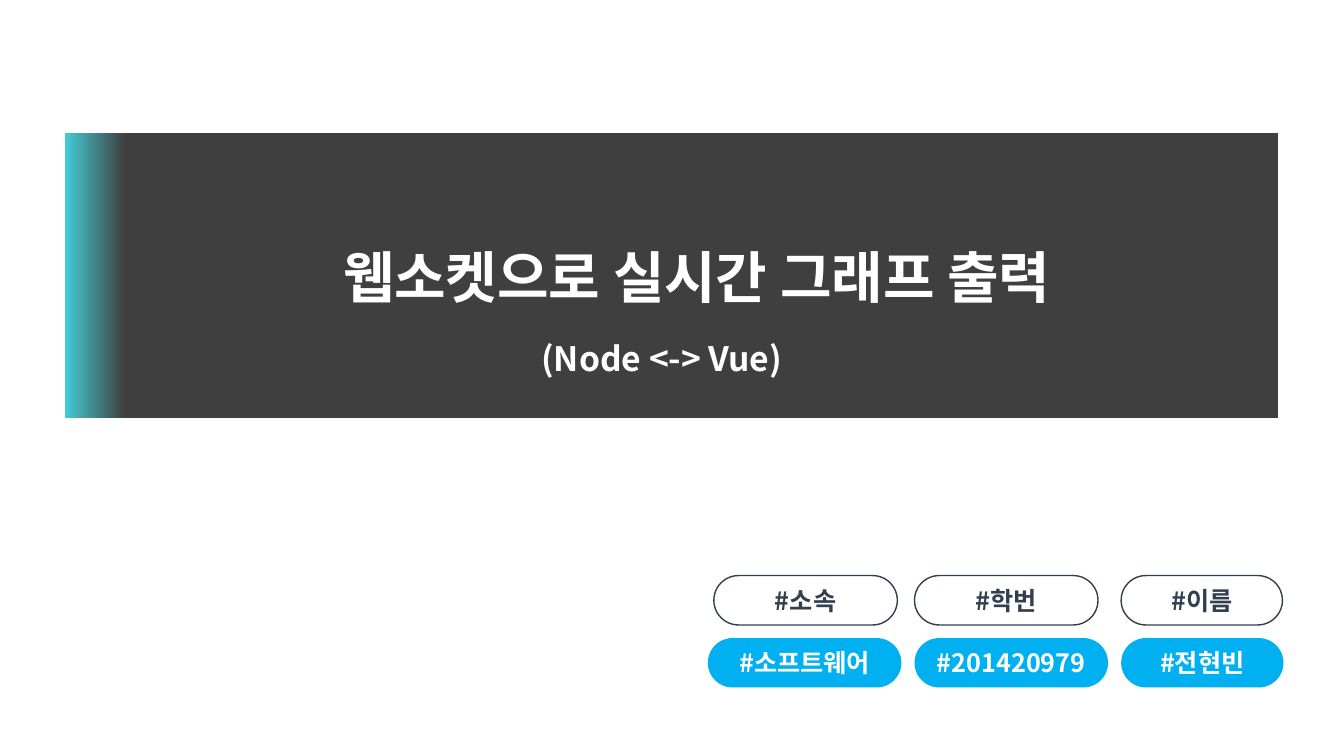
from copy import deepcopy

from pptx import Presentation
from pptx.dml.color import RGBColor
from pptx.enum.shapes import MSO_SHAPE as Shape
from pptx.enum.text import MSO_ANCHOR as Anchor, MSO_AUTO_SIZE as AutoSize, PP_ALIGN as Align
from pptx.oxml.ns import qn
from pptx.util import Inches, Pt

COLORS = {
    "white": "FFFFFF",
    "slate": "323F4F",
    "sky": "00B0F0",
    "charcoal": "3F3F3F",
    "teal": "43CDD7",
}
KOREAN_FONT = "Noto Sans CJK KR"
TITLE_FORMAT = {"name": "Arial", "size": Pt(40), "bold": True}
SUBTITLE_FORMAT = {"name": KOREAN_FONT, "size": Pt(24), "bold": True}
TAG_FORMAT = {"name": KOREAN_FONT, "size": Pt(18), "bold": True}

TAG_HEIGHT = 0.49
LABEL_TOP, VALUE_TOP = 5.71, 6.33
TAGS = [
    ("#소속", 7.08, 1.82, "#소프트웨어", 7.02, 1.92),
    ("#학번", 9.07, 1.82, "#201420979", 9.07, 1.92),
    ("#이름", 11.12, 1.6, "#전현빈", 11.12, 1.61),
]


def rgb(color):
    """Return the named colour."""
    return RGBColor.from_string(COLORS[color])


def write(frame, text, formats, color, align):
    """Write one formatted line into a text frame and return its paragraph."""
    paragraph = frame.paragraphs[0]
    paragraph.alignment = align
    run = paragraph.add_run()
    run.text = text
    for attribute, value in formats.items():
        setattr(run.font, attribute, value)
    run.font.color.rgb = rgb(color)
    east_asian = run.font._element.makeelement(qn("a:ea"), {"typeface": KOREAN_FONT})
    run.font._element.append(east_asian)
    return paragraph


def add_rounded(slide, left, top, width, height, rounding):
    """Add a shadowless rounded rectangle without an outline."""
    rounded = slide.shapes.add_shape(
        Shape.ROUNDED_RECTANGLE, Inches(left), Inches(top), Inches(width), Inches(height))
    rounded.adjustments[0] = rounding
    rounded.shadow.inherit = False
    rounded.line.fill.background()
    rounded.text_frame.vertical_anchor = Anchor.MIDDLE
    return rounded


def add_tag(slide, text, left, top, width, fill, ink, outline=None):
    """Add a pill-shaped tag with centred text."""
    tag = add_rounded(slide, left, top, width, TAG_HEIGHT, 0.5)
    tag.fill.solid()
    tag.fill.fore_color.rgb = rgb(fill)
    if outline:
        tag.line.color.rgb = rgb(outline)
        tag.line.width = Pt(1)
    write(tag.text_frame, text, TAG_FORMAT, ink, Align.CENTER)


def add_banner(slide, title):
    """Add the dark title banner with its glowing left edge."""
    banner = add_rounded(slide, 0.64, 1.32, 12.04, 2.83, 0)
    banner.fill.gradient()
    banner.fill.gradient_angle = 180
    first_stop = banner._element.spPr.find(".//" + qn("a:gs"))
    first_stop.addnext(deepcopy(first_stop))
    glow = [(0, "charcoal"), (0.95, "charcoal"), (1, "teal")]
    for stop, (position, color) in zip(banner.fill.gradient_stops, glow):
        stop.position = position
        stop.color.rgb = rgb(color)
    write(banner.text_frame, title, TITLE_FORMAT, "white", Align.CENTER).level = 1


def add_subtitle(slide, text):
    """Add the line below the title."""
    subtitle = slide.shapes.add_textbox(Inches(5.27), Inches(3.3), Inches(4.43), Inches(0.5))
    subtitle.text_frame.word_wrap = True
    subtitle.text_frame.auto_size = AutoSize.SHAPE_TO_FIT_TEXT
    write(subtitle.text_frame, text, SUBTITLE_FORMAT, "white", Align.LEFT)


def main():
    """Build the title slide."""
    deck = Presentation()
    deck.slide_width, deck.slide_height = Inches(13.33), Inches(7.5)
    slide = deck.slides.add_slide(deck.slide_layouts[6])
    for label, label_left, label_width, value, value_left, value_width in TAGS:
        add_tag(slide, label, label_left, LABEL_TOP, label_width, "white", "slate", "slate")
        add_tag(slide, value, value_left, VALUE_TOP, value_width, "sky", "white")
    add_banner(slide, "웹소켓으로 실시간 그래프 출력")
    add_subtitle(slide, "(Node <-> Vue)")
    deck.save("out.pptx")


if __name__ == "__main__":
    main()
